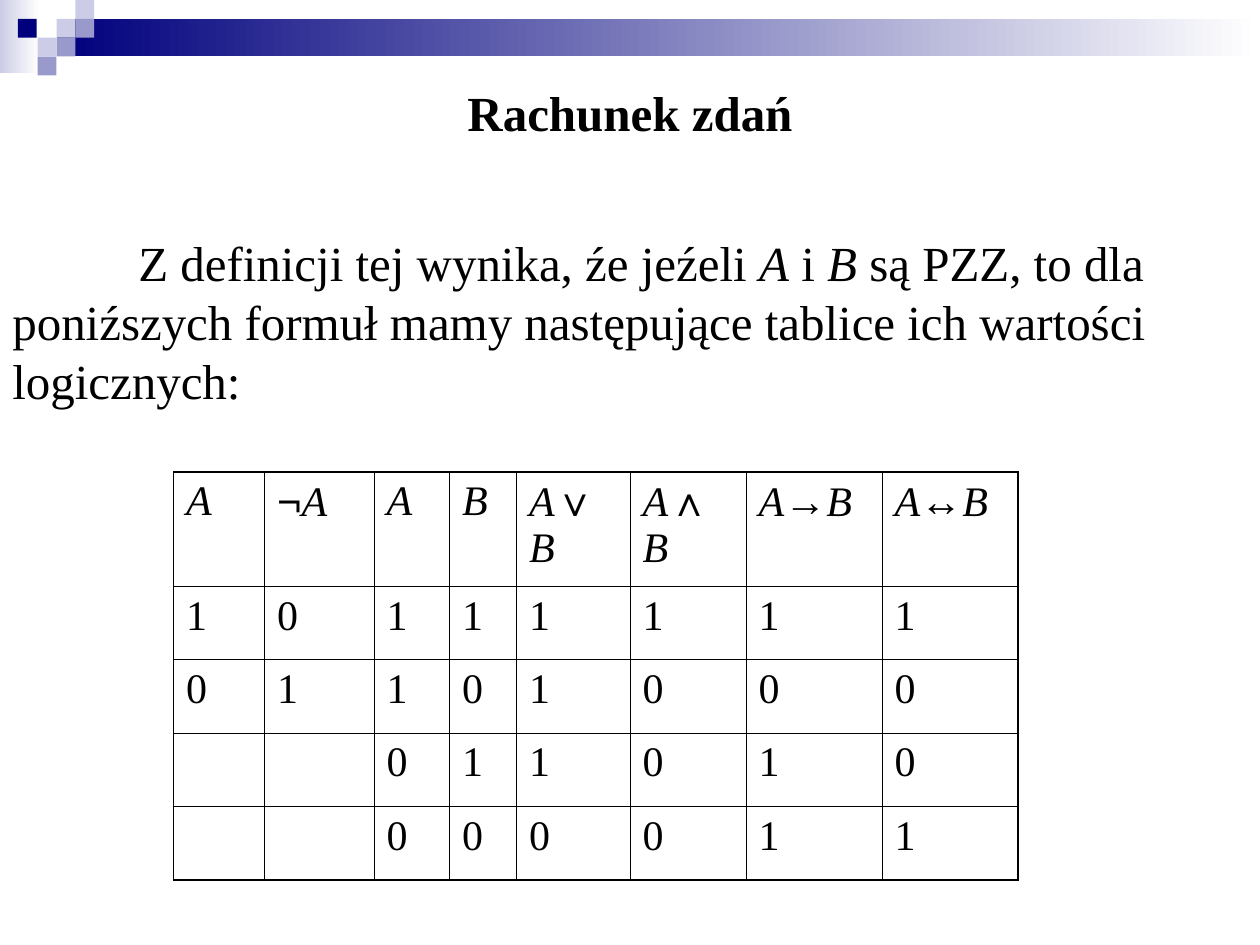
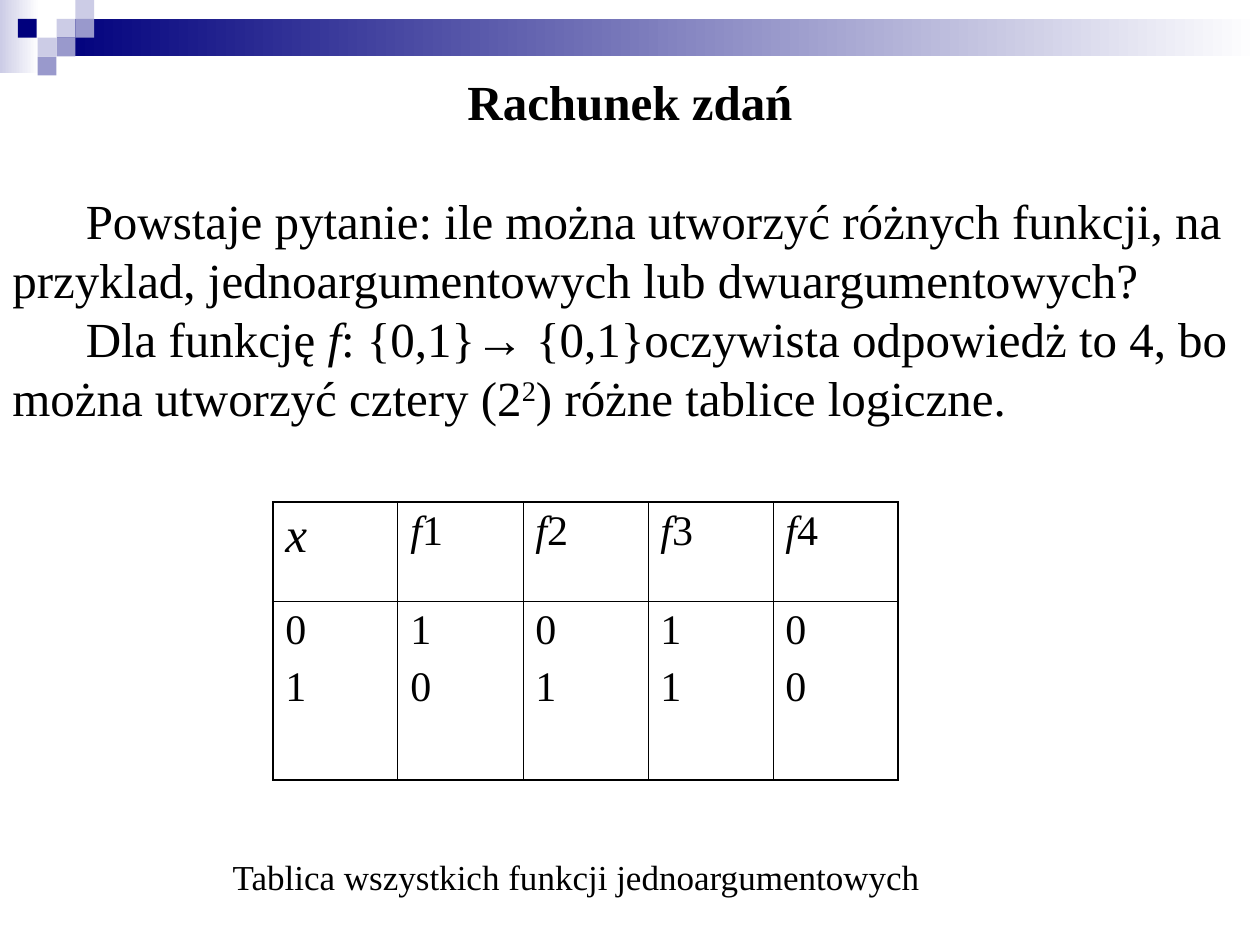
from itertools import groupby
from lxml import etree
from pptx import Presentation
from pptx import util as u
from pptx.dml.color import RGBColor
from pptx.enum import shapes, text
from pptx.oxml import ns

NAVY = RGBColor(0x00, 0x00, 0x7D)
LAVENDER = RGBColor(0xCC, 0xCC, 0xE6)
VIOLET = RGBColor(0x99, 0x99, 0xCC)
WHITE = RGBColor(0xFF, 0xFF, 0xFF)
BLACK = RGBColor(0x00, 0x00, 0x00)
SERIF = "Times New Roman"
SANS = "Arial"
SYMBOLS = "¬∨∧→↔"
THIN, THICK = u.Pt(0.45), u.Pt(1.08)

GRADIENTS = [
    (0, 0, 0.79, 1.47, LAVENDER),
    (1.14, 0.38, 24.26, 0.76, NAVY),
]
SQUARE = 0.38
SQUARES = [
    (1.14, 0.38, LAVENDER),
    (1.52, 0, LAVENDER),
    (1.52, 0.38, VIOLET),
    (0.76, 0.76, LAVENDER),
    (0.36, 0.38, NAVY),
    (1.14, 0.76, VIOLET),
    (0.76, 1.14, VIOLET),
]


def add_runs(p, marked, size, bold=False):
    for i, part in enumerate(marked.split("*")):
        for is_symbol, chars in groupby(part, lambda c: c in SYMBOLS):
            r = p.add_run()
            r.text = "".join(chars)
            r.font.name = SANS if is_symbol else SERIF
            r.font.size = u.Pt(size)
            r.font.bold = bold
            r.font.italic = i % 2 == 1
            r.font.color.rgb = BLACK


def add_text_box(s, left, top, width, height):
    tf = s.shapes.add_textbox(u.Cm(left), u.Cm(top), u.Cm(width), u.Cm(height)).text_frame
    tf.word_wrap = True
    return tf


prs = Presentation()
prs.slide_width = u.Cm(25.4)
prs.slide_height = u.Cm(19.05)

slides = [
    {
        "title_top": 1.53,
        "body_top": 4.56,
        "body_height": 3.85,
        "indent": 2.54,
        "body": [
            ["Z definicji tej wynika, źe jeźeli *A* i *B* są PZZ, to dla poniźszych "
             "formuł mamy następujące tablice ich wartości logicznych:"],
        ],
        "table_at": (3.5, 9.52),
        "columns": [1.83, 2.21, 1.52, 1.35, 2.29, 2.34, 2.74, 2.74],
        "rows": [2.3] + [1.48] * 4,
        "cells": [
            ["*A*", "¬*A*", "*A*", "*B*", "*A*∨*B*", "*A*∧*B*", "*A*→*B*", "*A*↔*B*"],
            ["1", "0", "1", "1", "1", "1", "1", "1"],
            ["0", "1", "1", "0", "1", "0", "0", "0"],
            ["", "", "0", "1", "1", "0", "1", "0"],
            ["", "", "0", "0", "0", "0", "1", "1"],
        ],
    },
    {
        "title_top": 1.32,
        "body_top": 3.7,
        "body_height": 5.05,
        "indent": 1.48,
        "body": [
            ["Powstaje pytanie: ile można utworzyć różnych funkcji, na przyklad, "
             "jednoargumentowych lub dwuargumentowych?"],
            ["Dla funkcję *f*: {0,1}→ {0,1}oczywista odpowiedż to 4, bo można "
             "utworzyć cztery (2", "2", ") różne tablice logiczne."],
        ],
        "table_at": (5.5, 10.12),
        "columns": [2.52] * 5,
        "rows": [2, 3.6],
        "cells": [
            ["*x*", "*f*1", "*f*2", "*f*3", "*f*4"],
            ["0\n1", "1\n0", "0\n1", "1\n1", "0\n0"],
        ],
        "caption": "Tablica wszystkich funkcji jednoargumentowych",
    },
]

for content in slides:
    s = prs.slides.add_slide(prs.slide_layouts[6])

    for left, top, width, height, color in GRADIENTS:
        sp = s.shapes.add_shape(shapes.MSO_SHAPE.RECTANGLE,
                                u.Cm(left), u.Cm(top), u.Cm(width), u.Cm(height))
        sp.shadow.inherit = False
        sp.line.fill.background()
        sp.fill.gradient()
        sp.fill.gradient_angle = 0
        for stop, stop_color in zip(sp.fill.gradient_stops, (color, WHITE)):
            stop.color.rgb = stop_color

    for left, top, color in SQUARES:
        sp = s.shapes.add_shape(shapes.MSO_SHAPE.RECTANGLE,
                                u.Cm(left), u.Cm(top), u.Cm(SQUARE), u.Cm(SQUARE))
        sp.shadow.inherit = False
        sp.line.fill.background()
        sp.fill.solid()
        sp.fill.fore_color.rgb = color

    p = add_text_box(s, 0, content["title_top"], 25.4, 1.45).paragraphs[0]
    p.alignment = text.PP_ALIGN.CENTER
    p.line_spacing = u.Pt(33.8)
    add_runs(p, "Rachunek zdań", 28, bold=True)

    tf = add_text_box(s, 0, content["body_top"], 25.4, content["body_height"])
    for i, pieces in enumerate(content["body"]):
        p = tf.add_paragraph() if i else tf.paragraphs[0]
        p.line_spacing = u.Pt(33.8)
        p._p.get_or_add_pPr().set("indent", str(u.Cm(content["indent"])))
        for k, piece in enumerate(pieces):
            add_runs(p, piece, 28)
            if k == 1:
                p.runs[-1].font._element.set("baseline", "30000")

    columns, rows = content["columns"], content["rows"]
    left, top = content["table_at"]
    table = s.shapes.add_table(len(rows), len(columns), u.Cm(left), u.Cm(top),
                               u.Cm(sum(columns)), u.Cm(sum(rows))).table
    table.first_row = False
    table.horz_banding = False
    for column, width in zip(table.columns, columns):
        column.width = u.Cm(width)
    for row, height in zip(table.rows, rows):
        row.height = u.Cm(height)

    for i, row in enumerate(content["cells"]):
        for j, marked in enumerate(row):
            cell = table.cell(i, j)
            cell.fill.background()
            size = 28 if marked == "*x*" else 24
            tf = cell.text_frame
            for k, line in enumerate(marked.split("\n")):
                p = tf.add_paragraph() if k else tf.paragraphs[0]
                p.space_before = u.Pt(size / 4 if line else 0)
                add_runs(p, line, size)

            outer_sides = [
                ("a:lnL", j == 0),
                ("a:lnR", j == len(columns) - 1),
                ("a:lnT", i == 0),
                ("a:lnB", i == len(rows) - 1),
            ]
            tcPr = cell._tc.get_or_add_tcPr()
            for k, (tag, is_outer) in enumerate(outer_sides):
                ln = etree.Element(ns.qn(tag), w=str(THICK if is_outer else THIN))
                fill = etree.SubElement(ln, ns.qn("a:solidFill"))
                etree.SubElement(fill, ns.qn("a:srgbClr"), val=str(BLACK))
                tcPr.insert(k, ln)

    if "caption" in content:
        tf = add_text_box(s, 4.44, 17.12, 16, 1.1)
        add_runs(tf.paragraphs[0], content["caption"], 20)

prs.save("out.pptx")
